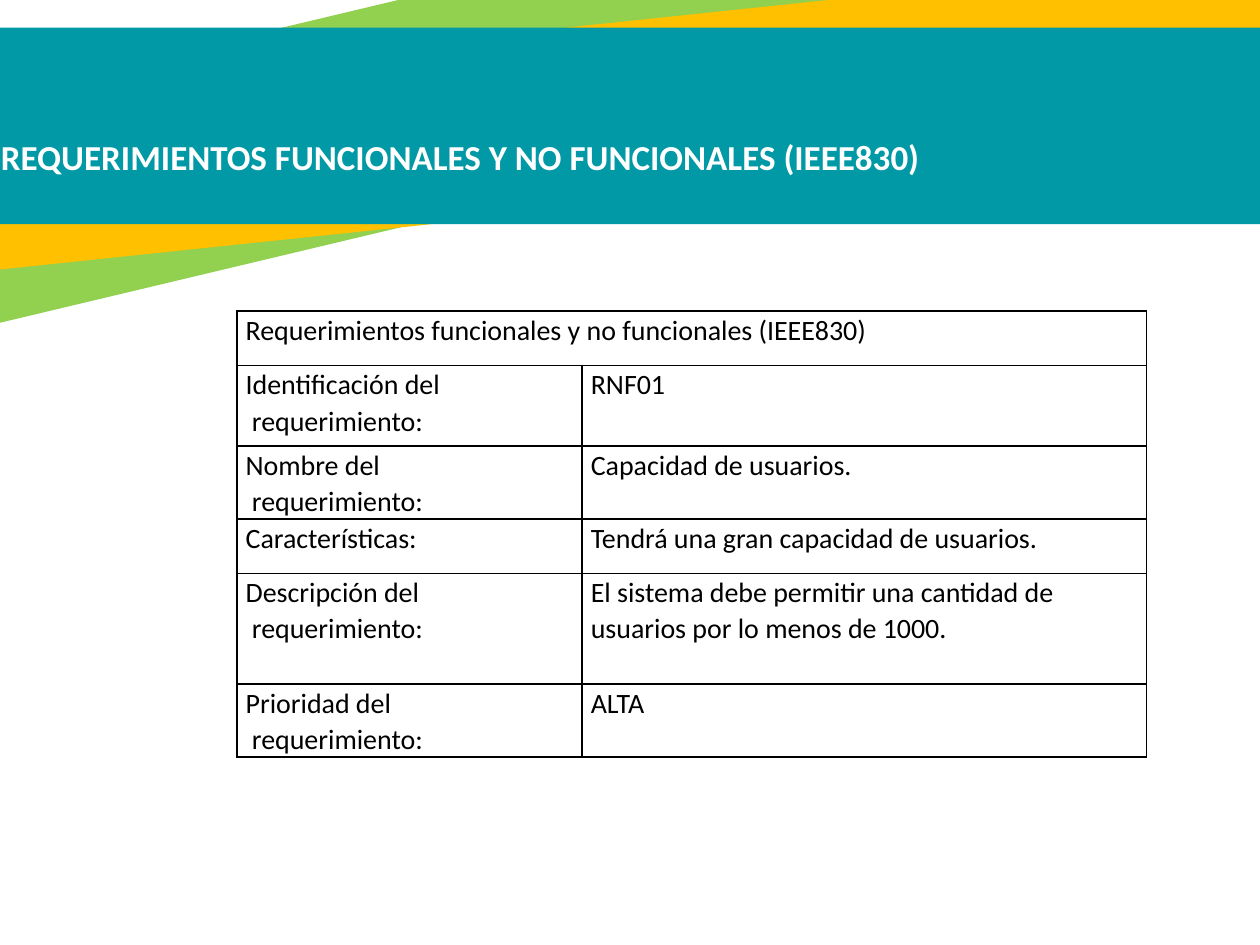
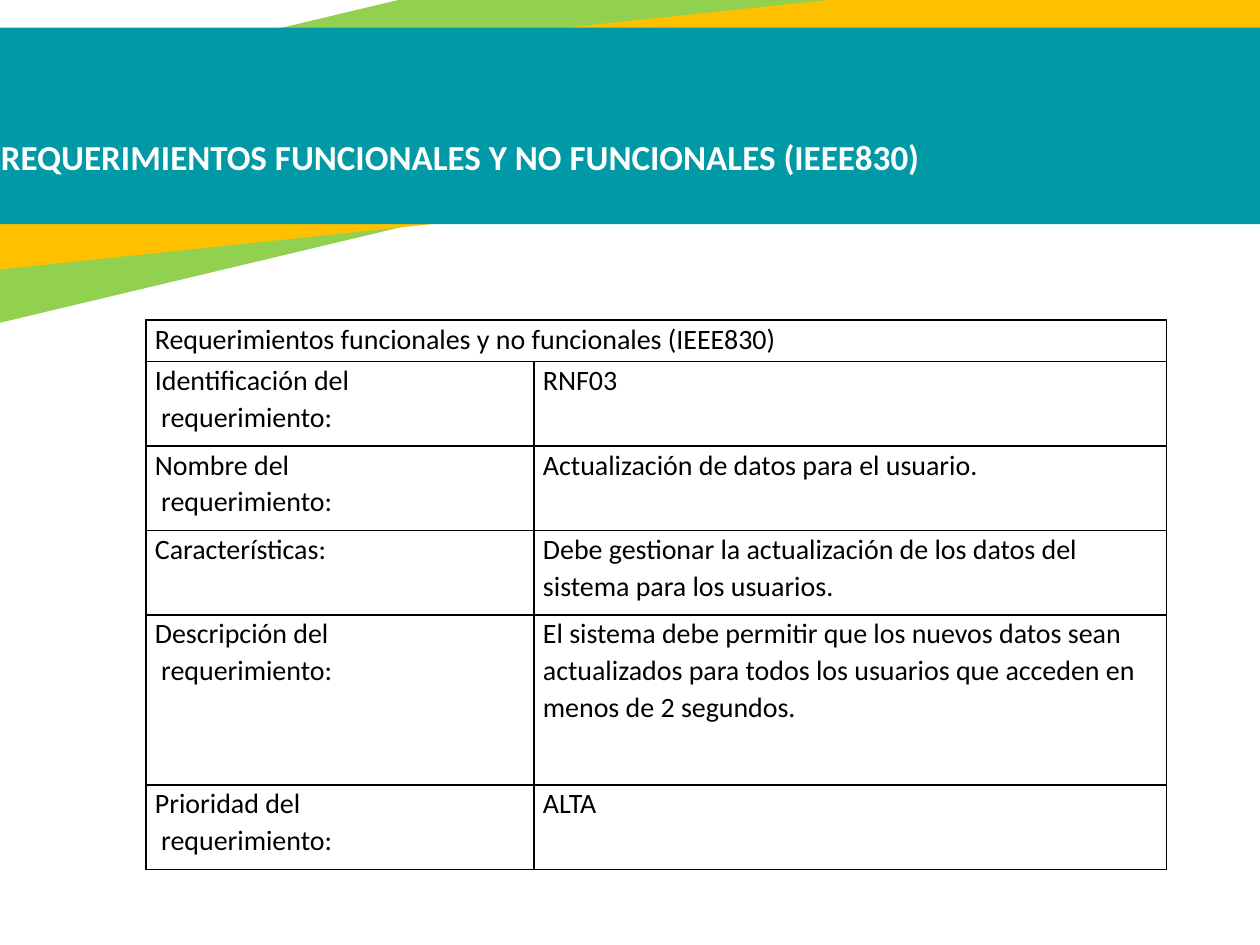
import lxml.etree
import pptx
import pptx.dml.color
import pptx.enum.shapes
import pptx.oxml.ns
import pptx.util

Inches = pptx.util.Inches
Pt = pptx.util.Pt

# Shared style
FONT = "Calibri"
TITLE = "REQUERIMIENTOS FUNCIONALES Y NO FUNCIONALES (IEEE830)"
TABLE_HEADING = "Requerimientos funcionales y no funcionales (IEEE830)"
BLACK = "000000"
WHITE = "FFFFFF"

# Header bands from back to front: left, top, width, height, rotation, colour
BANDS = [
    (-2.51, -0.18, 13.06, 1.76, 346.6, "92D050"),
    (-1.1, 0.2, 11.63, 1.44, 354, "FFC000"),
    (-1.06, 0.22, 11.63, 1.56, 0, "0099A5"),
]

# Row labels, one paragraph per entry
LABELS = [
    ["Identificación del", " requerimiento:"],
    ["Nombre del", " requerimiento:"],
    ["Características:"],
    ["Descripción del", " requerimiento:"],
    ["Prioridad del", " requerimiento:"],
]

# What differs from slide to slide
REQUIREMENTS = [
    {
        "left": 1.88, "top": 2.47,
        "columns": [2.74, 4.48],
        "rows": [0.43, 0.64, 0.58, 0.43, 0.88, 0.58],
        "values": [
            "RNF01",
            "Capacidad de usuarios.",
            "Tendrá una gran capacidad de usuarios.",
            "El sistema debe permitir una cantidad de usuarios por lo menos de 1000.",
            "ALTA",
        ],
    },
    {
        "left": 1.16, "top": 2.54,
        "columns": [3.08, 5.02],
        "rows": [0.33, 0.67, 0.67, 0.67, 1.35, 0.67],
        "values": [
            "RNF03",
            "Actualización de datos para el usuario.",
            "Debe gestionar la actualización de los datos del sistema para los usuarios.",
            "El sistema debe permitir que los nuevos datos sean actualizados para todos "
            "los usuarios que acceden en menos de 2 segundos.",
            "ALTA",
        ],
    },
]


def colour(value):
    return pptx.dml.color.RGBColor.from_string(value)


def add_span(para, text, size, value, bold=False):
    span = para.add_run()
    span.text = text
    span.font.name = FONT
    span.font.size = Pt(size)
    span.font.bold = bold
    span.font.color.rgb = colour(value)


deck = pptx.Presentation()
deck.slide_width = Inches(10)
deck.slide_height = Inches(7.5)

for requirement in REQUIREMENTS:
    page = deck.slides.add_slide(deck.slide_layouts[6])

    # Header bands
    for left, top, width, height, rotation, fill in BANDS:
        band = page.shapes.add_shape(
            pptx.enum.shapes.MSO_SHAPE.RECTANGLE,
            Inches(left), Inches(top), Inches(width), Inches(height))
        band.rotation = rotation
        band.shadow.inherit = False
        band.fill.solid()
        band.fill.fore_color.rgb = colour(fill)
        band.line.fill.background()

    # Title
    box = page.shapes.add_textbox(Inches(-0.09), Inches(1.03), Inches(8.1), Inches(0.44))
    box.text_frame.word_wrap = True
    add_span(box.text_frame.paragraphs[0], TITLE, 20, WHITE, bold=True)

    # Requirement table
    columns, rows = requirement["columns"], requirement["rows"]
    table = page.shapes.add_table(
        len(rows), len(columns), Inches(requirement["left"]), Inches(requirement["top"]),
        Inches(sum(columns)), Inches(sum(rows))).table
    table.first_row = False
    table.horz_banding = False
    for column, width in zip(table.columns, columns):
        column.width = Inches(width)
    for row, height in zip(table.rows, rows):
        row.height = Inches(height)
    table.cell(0, 0).merge(table.cell(0, 1))

    # Cell text
    contents = [([TABLE_HEADING], [])]
    contents += [(label, [value]) for label, value in zip(LABELS, requirement["values"])]
    for row, row_texts in zip(table.rows, contents):
        for cell, lines in zip(row.cells, row_texts):
            cell.margin_left = cell.margin_right = Inches(0.07)
            cell.margin_top = cell.margin_bottom = 0
            cell.fill.background()
            for number, line in enumerate(lines):
                frame = cell.text_frame
                para = frame.add_paragraph() if number else frame.paragraphs[0]
                para.line_spacing = 1.07
                add_span(para, line, 16, BLACK)

            # Cell borders come before the fill in the cell properties
            properties = cell._tc.get_or_add_tcPr()
            for position, side in enumerate(["a:lnL", "a:lnR", "a:lnT", "a:lnB"]):
                border = lxml.etree.Element(pptx.oxml.ns.qn(side), w=str(Pt(1)))
                solid = lxml.etree.SubElement(border, pptx.oxml.ns.qn("a:solidFill"))
                lxml.etree.SubElement(solid, pptx.oxml.ns.qn("a:srgbClr"), val=BLACK)
                properties.insert(position, border)

deck.save("out.pptx")
